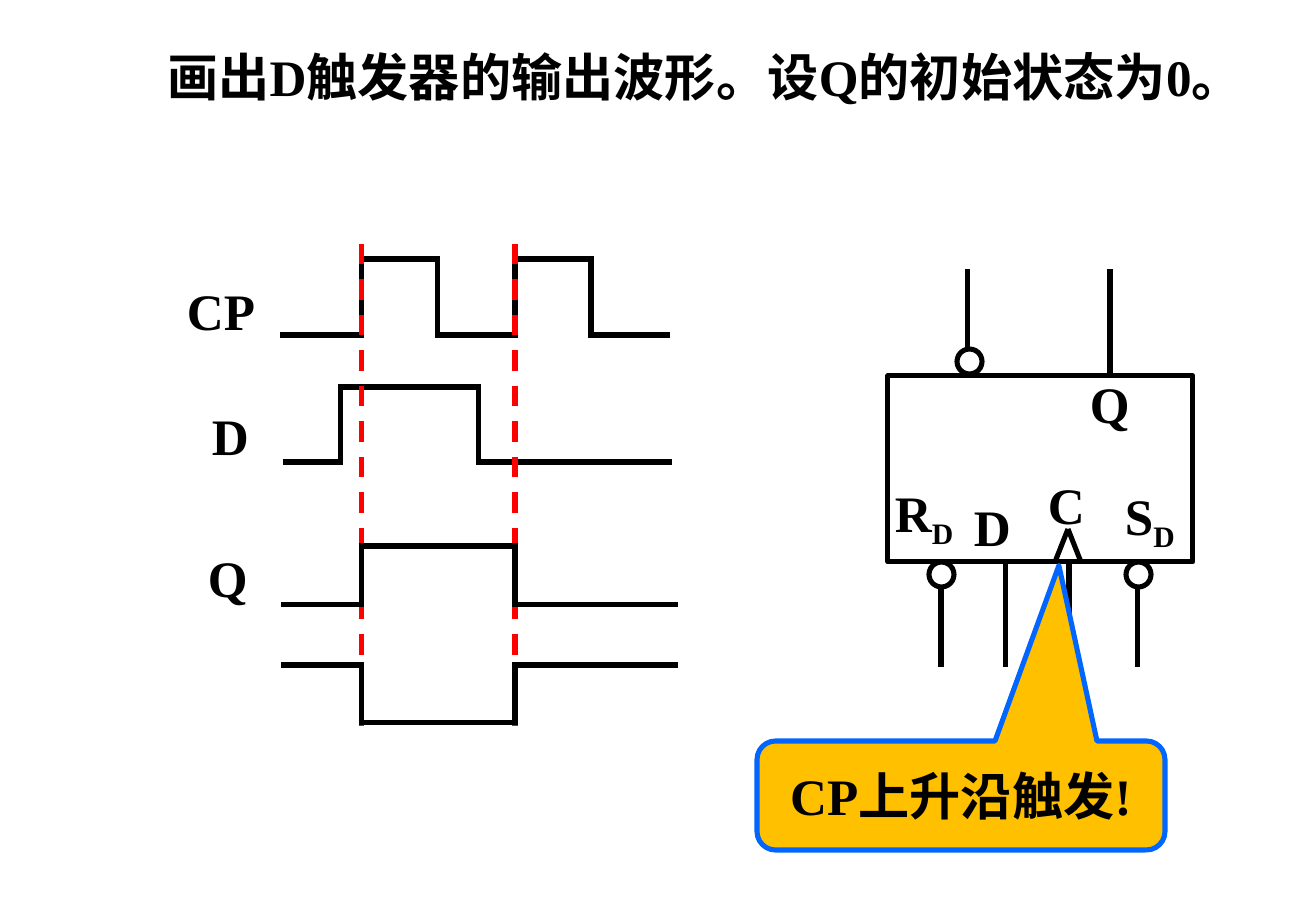
from dataclasses import dataclass
from itertools import pairwise

from lxml import etree
from pptx import Presentation
from pptx.dml.color import RGBColor
from pptx.enum.dml import MSO_LINE
from pptx.enum.shapes import MSO_CONNECTOR, MSO_SHAPE
from pptx.enum.text import MSO_ANCHOR, MSO_AUTO_SIZE, PP_ALIGN
from pptx.oxml.ns import qn
from pptx.util import Pt

STRAIGHT = MSO_CONNECTOR.STRAIGHT
RECT, OVAL = MSO_SHAPE.RECTANGLE, MSO_SHAPE.OVAL
CALLOUT = MSO_SHAPE.ROUNDED_RECTANGULAR_CALLOUT
TOP, MIDDLE = MSO_ANCHOR.TOP, MSO_ANCHOR.MIDDLE
LEFT, CENTER = PP_ALIGN.LEFT, PP_ALIGN.CENTER
NO_FIT = MSO_AUTO_SIZE.NONE
DASH = MSO_LINE.DASH
TITLE_ONLY = 5


@dataclass
class Theme:
    """Colours, font and sizes of the slide."""
    ink: str = "000000"
    edge: str = "FF0000"
    note: str = "FFC000"
    note_line: str = "0066FF"
    font: str = "Times New Roman"
    size: float = 30.3
    stroke: float = 3


class Diagram:
    """Draws styled elements on the current slide, with lengths in px."""

    def __init__(self, slide, theme):
        self.slide, self.theme = slide, theme

    @staticmethod
    def px(*values):
        """Turn px into EMU."""
        return [value * 7526 for value in values]

    def format(self, p, align=LEFT):
        """Apply the text style to every run of a paragraph."""
        p.alignment = align
        for r in p.runs:
            r.font.name, r.font.size = self.theme.font, Pt(self.theme.size)
            r.font.bold = True
            r.font.color.rgb = RGBColor.from_string(self.theme.ink)

    def stroke(self, line, color):
        """Give an outline its colour and width."""
        line.color.rgb = RGBColor.from_string(color)
        line.width = Pt(self.theme.stroke)

    def title(self, text, x, y, w, h, indent):
        """Place the title with a first-line indent."""
        sp = self.slide.shapes.title
        sp.left, sp.top, sp.width, sp.height = self.px(x, y, w, h)
        tf = sp.text_frame
        tf.text = text
        tf.auto_size, tf.vertical_anchor = NO_FIT, TOP
        p = tf.paragraphs[0]
        p._p.get_or_add_pPr().set("indent", str(self.px(indent)[0]))
        self.format(p)

    def label(self, text, x, y, sub=""):
        """Write a signal name with an optional subscript."""
        sp = self.slide.shapes.add_textbox(*self.px(x, y, 102, 74))
        tf = sp.text_frame
        tf.word_wrap = True
        tf.text = text
        p = tf.paragraphs[0]
        if sub:
            r = p.add_run()
            r.text = sub
            r._r.get_or_add_rPr().set("baseline", "-25000")
        self.format(p)

    def line(self, start, end, color=None, dash=None, cap="flat"):
        """Draw a straight line."""
        sp = self.slide.shapes.add_connector(STRAIGHT, *self.px(*start, *end))
        self.stroke(sp.line, color or self.theme.ink)
        if dash:
            sp.line.dash_style = dash
        sp.line._get_or_add_ln().set("cap", cap)
        etree.SubElement(sp._element.spPr, qn("a:effectLst"))

    def wave(self, xs, first, second):
        """Draw a square wave that changes level at each inner x."""
        points = []
        for i, (x1, x2) in enumerate(pairwise(xs)):
            y = second if i % 2 else first
            points += [(x1, y), (x2, y)]
        for start, end in pairwise(points):
            self.line(start, end, cap="sq")

    def shape(self, kind, x, y, w, h, color=None, fill=None):
        """Draw an outlined preset shape."""
        sp = self.slide.shapes.add_shape(kind, *self.px(x, y, w, h))
        sp.shadow.inherit = False
        self.stroke(sp.line, color or self.theme.ink)
        if fill:
            sp.fill.solid()
            sp.fill.fore_color.rgb = RGBColor.from_string(fill)
        else:
            sp.fill.background()
        return sp

    def bubble(self, x, y):
        """Draw an inversion circle around its centre."""
        self.shape(OVAL, x - 12, y - 12, 25, 25)

    def callout(self, text, x, y, w, h, adjustments):
        """Draw a speech callout with centred text."""
        sp = self.shape(CALLOUT, x, y, w, h, self.theme.note_line, self.theme.note)
        for i, value in enumerate(adjustments):
            sp.adjustments[i] = value
        tf = sp.text_frame
        tf.text = text
        tf.word_wrap, tf.vertical_anchor = False, MIDDLE
        self.format(tf.paragraphs[0], CENTER)


def main():
    """Build the flip-flop timing slide."""
    prs = Presentation()
    prs.slide_width, prs.slide_height = Diagram.px(1316, 911)
    theme = Theme()
    d = Diagram(prs.slides.add_slide(prs.slide_layouts[TITLE_ONLY]), theme)

    d.title("画出D触发器的输出波形。设Q的初始状态为0。", 142, 39, 1130, 136, 13)

    rise1, rise2 = 362, 515
    d.wave([283, rise1, 438, rise2, 591, 667], 335, 259)
    d.wave([286, 341, 479, 670], 462, 387)
    for x in (rise1, rise2):
        d.line((x, 244), (x, 735), theme.edge, DASH)
    for low, high in ((605, 546), (665, 723)):
        d.wave([284, rise1, rise2, 675], low, high)
    for name, x, y in (("CP", 175, 273), ("D", 200, 398), ("Q", 196, 540)):
        d.label(name, x, y)

    top, bottom, pin_end = 376, 562, 667
    d.shape(RECT, 888, top, 305, bottom - top)
    d.bubble(969, top - 15)
    d.line((968, 349), (968, 269))
    d.line((1110, top), (1110, 269))
    for x in (941, 1138):
        d.bubble(x, bottom + 12)
        d.line((x, 587), (x, pin_end))
    for x in (1006, 1069):
        d.line((x, bottom), (x, pin_end))
    for x in (1055, 1081):
        d.line((1068, 529), (x, bottom))
    for name, sub, x, y in (("R", "D", 883, 475), ("S", "D", 1113, 478),
                            ("D", "", 962, 489), ("C", "", 1036, 467),
                            ("Q", "", 1078, 366)):
        d.label(name, x, y, sub)

    d.callout("CP上升沿触发!", 757, 741, 408, 109, (0.24, -2.11, 0.17))
    prs.save("out.pptx")


if __name__ == "__main__":
    main()
